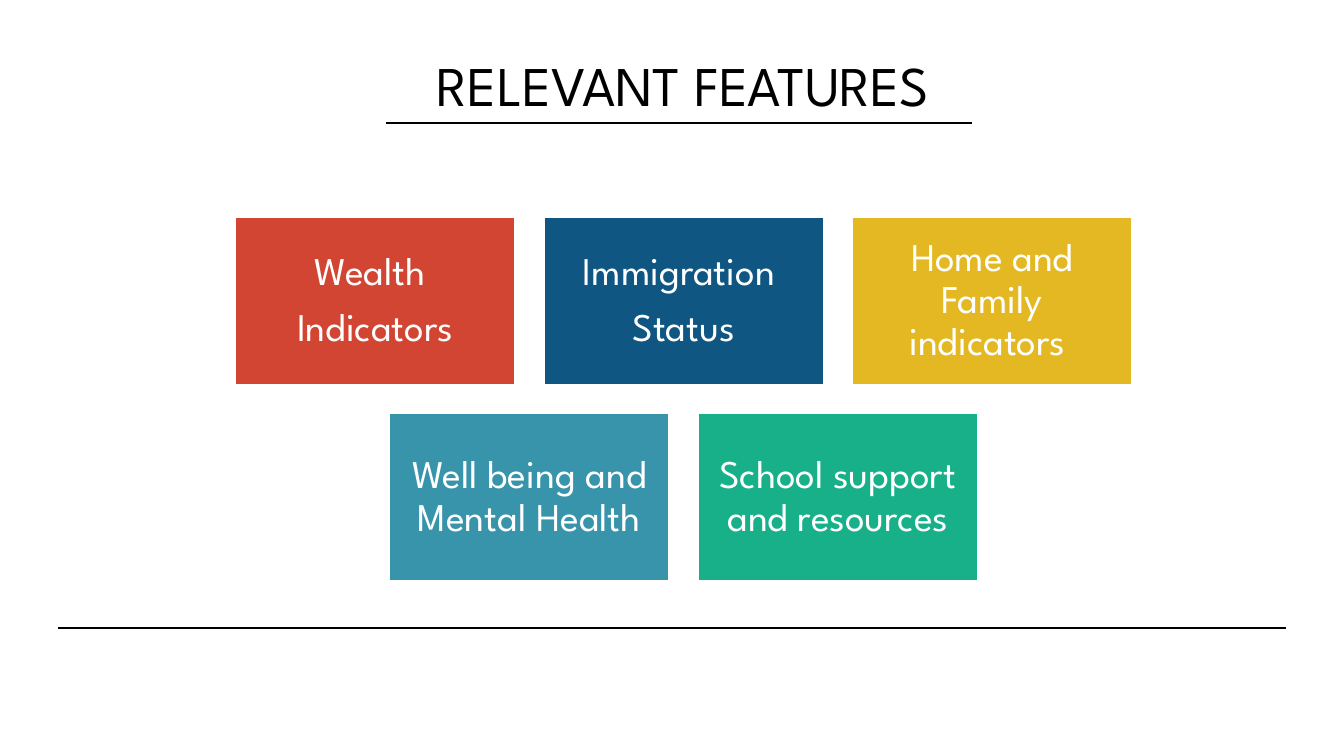
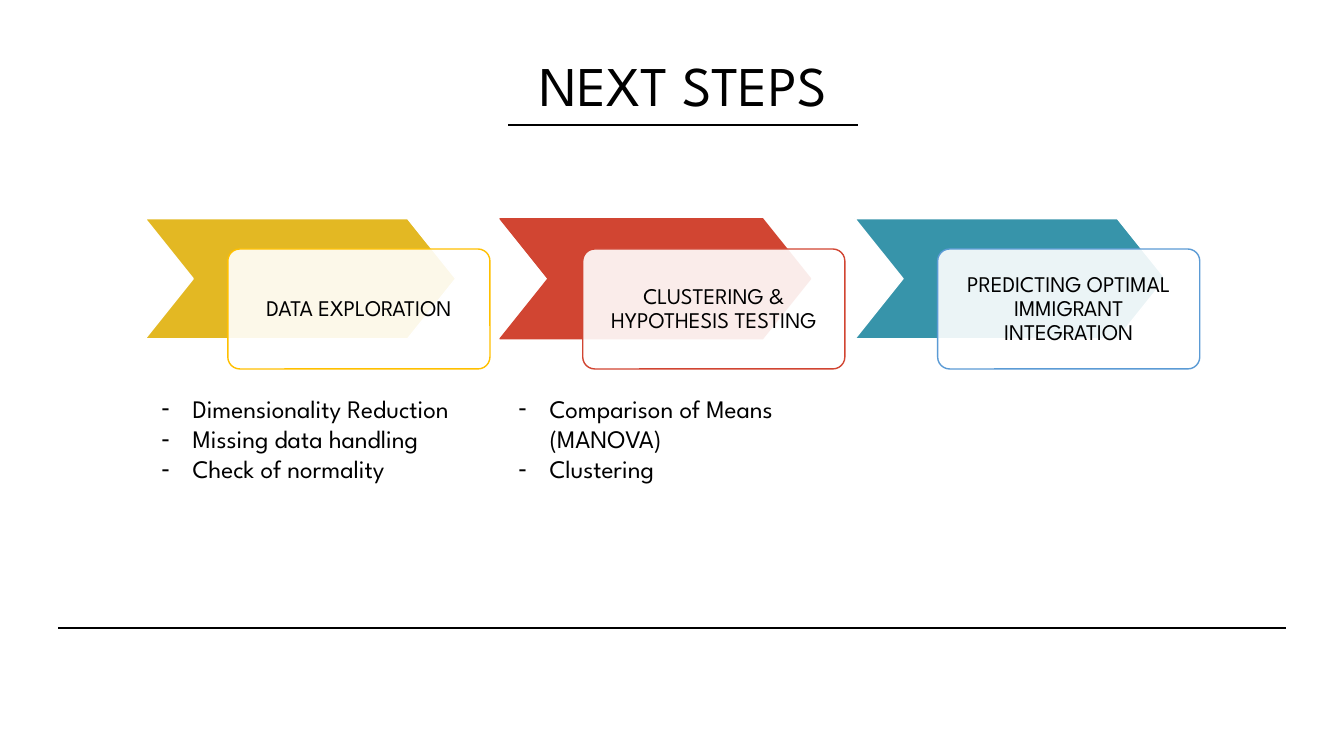
from dataclasses import dataclass
from typing import Any

from lxml.etree import SubElement
from pptx import Presentation
from pptx.dml.color import RGBColor
from pptx.enum.shapes import MSO_CONNECTOR, MSO_SHAPE
from pptx.enum.text import MSO_ANCHOR, MSO_AUTO_SIZE, PP_ALIGN
from pptx.oxml.ns import qn
from pptx.shapes.autoshape import Shape
from pptx.shapes.connector import Connector
from pptx.slide import Slide
from pptx.text.text import TextFrame
from pptx.util import Inches, Pt


@dataclass(frozen=True)
class Theme:
    font: str = "League Spartan"
    black: str = "000000"
    white: str = "FFFFFF"
    red: str = "D14532"
    navy: str = "0F5782"
    yellow: str = "E3B823"
    teal: str = "3794AA"
    green: str = "17B089"
    amber: str = "FFC000"
    blue: str = "5B9BD5"
    title_size: int = 40
    feature_size: int = 28
    list_size: int = 18
    step_size: int = 16
    rule_width: float = 1.5
    step_line: float = 1
    card_opacity: int = 90


THEME = Theme()


@dataclass(frozen=True)
class Box:
    left: float
    top: float
    width: float
    height: float

    def emu(self) -> tuple[int, int, int, int]:
        return (Inches(self.left), Inches(self.top),
                Inches(self.width), Inches(self.height))


@dataclass(frozen=True)
class Feature:
    lines: tuple[str, ...]
    color: str


@dataclass(frozen=True)
class Step:
    label: str
    fill: str
    edge: str
    card_edge: str


@dataclass(frozen=True)
class TaskList:
    box: Box
    tasks: tuple[str, ...]


TITLE_BOX = Box(0.85, 0.45, 11.85, 0.77)

FEATURE_CENTER, FEATURE_TOP, FEATURE_GAP = 6.78, 2.15, 0.28
FEATURE_WIDTH, FEATURE_HEIGHT = 2.78, 1.67
FEATURE_ROWS = (
    (Feature(("Wealth ", "Indicators"), THEME.red),
     Feature(("Immigration ", "Status"), THEME.navy),
     Feature(("Home and Family indicators ",), THEME.yellow)),
    (Feature(("Well being and Mental Health",), THEME.teal),
     Feature(("School support and resources",), THEME.green)),
)

STEP_LEFT, STEP_PITCH = 1.44, 3.52
STEPS = (
    Step("DATA EXPLORATION", THEME.yellow, THEME.white, THEME.amber),
    Step("CLUSTERING & HYPOTHESIS TESTING", THEME.red, THEME.red, THEME.red),
    Step("PREDICTING OPTIMAL IMMIGRANT INTEGRATION",
         THEME.teal, THEME.white, THEME.blue),
)
TASK_LISTS = (
    TaskList(Box(1.5, 3.85, 3.49, 1.31),
             ("Dimensionality Reduction", "Missing data handling",
              "Check of normality")),
    TaskList(Box(5.04, 3.85, 3.09, 1.31),
             ("Comparison of Means (MANOVA)", "Clustering")),
)


def apply(target: Any, values: dict[str, Any]) -> None:
    """Set each named attribute of the target."""
    for name, value in values.items():
        setattr(target, name, value)


def write(frame: TextFrame, lines: tuple[str, ...], size: int, color: str,
          frame_format: dict[str, Any], paragraph_format: dict[str, Any]) -> None:
    """Fill a frame with one formatted paragraph per line."""
    frame.text = "\n".join(lines)
    apply(frame, {"word_wrap": True, "auto_size": MSO_AUTO_SIZE.NONE,
                  **frame_format})
    for paragraph in frame.paragraphs:
        apply(paragraph, paragraph_format)
        for run in paragraph.runs:
            apply(run.font, {"name": THEME.font, "size": Pt(size)})
            run.font.color.rgb = RGBColor.from_string(color)


def write_label(shape: Shape, lines: tuple[str, ...], size: int,
                color: str) -> None:
    margins = dict.fromkeys(
        ("margin_left", "margin_top", "margin_right", "margin_bottom"),
        Inches(0.12))
    write(shape.text_frame, lines, size, color,
          {"vertical_anchor": MSO_ANCHOR.MIDDLE, **margins},
          {"alignment": PP_ALIGN.CENTER, "line_spacing": 0.9,
           "space_after": Pt(size / 3)})


def add_panel(slide: Slide, kind: MSO_SHAPE, box: Box, fill: str, edge: str,
              edge_width: float) -> Shape:
    panel = slide.shapes.add_shape(kind, *box.emu())
    panel.shadow.inherit = False
    panel.fill.solid()
    panel.fill.fore_color.rgb = RGBColor.from_string(fill)
    panel.line.color.rgb = RGBColor.from_string(edge)
    panel.line.width = Pt(edge_width)
    return panel


def set_opacity(shape: Shape, percent: int) -> None:
    color = shape._element.spPr.find(qn("a:solidFill"))[0]
    SubElement(color, qn("a:alpha"), val=str(percent * 1000))


def add_rule(slide: Slide, left: float, right: float, y: float) -> Connector:
    rule = slide.shapes.add_connector(
        MSO_CONNECTOR.STRAIGHT, Inches(left), Inches(y), Inches(right), Inches(y))
    rule.line.color.rgb = RGBColor.from_string(THEME.black)
    rule.line.width = Pt(THEME.rule_width)
    SubElement(rule._element.spPr, qn("a:effectLst"))
    return rule


def place(shape: Any, box: Box) -> None:
    apply(shape, dict(zip(("left", "top", "width", "height"), box.emu())))


def add_title(slide: Slide, text: str, rule_left: float, rule_right: float,
              rule_y: float) -> None:
    title = slide.shapes.title
    place(title, TITLE_BOX)
    write(title.text_frame, (text,), THEME.title_size, THEME.black,
          {"vertical_anchor": MSO_ANCHOR.TOP},
          {"alignment": PP_ALIGN.CENTER})
    add_rule(slide, rule_left, rule_right, rule_y)


def add_feature_rows(slide: Slide) -> None:
    for row_index, row in enumerate(FEATURE_ROWS):
        row_width = len(row) * (FEATURE_WIDTH + FEATURE_GAP) - FEATURE_GAP
        top = FEATURE_TOP + row_index * (FEATURE_HEIGHT + FEATURE_GAP)
        for column, feature in enumerate(row):
            left = (FEATURE_CENTER - row_width / 2
                    + column * (FEATURE_WIDTH + FEATURE_GAP))
            tile = add_panel(slide, MSO_SHAPE.RECTANGLE,
                             Box(left, top, FEATURE_WIDTH, FEATURE_HEIGHT),
                             feature.color, THEME.white, THEME.rule_width)
            write_label(tile, feature.lines, THEME.feature_size, THEME.white)


def add_step(slide: Slide, step: Step, left: float) -> None:
    """Draw a chevron with its label card overlapping it."""
    chevron = add_panel(slide, MSO_SHAPE.CHEVRON, Box(left, 2.17, 3.08, 1.19),
                        step.fill, step.edge, THEME.step_line)
    chevron.adjustments[0] = 0.4
    card = add_panel(slide, MSO_SHAPE.ROUNDED_RECTANGLE,
                     Box(left + 0.82, 2.47, 2.6, 1.19),
                     THEME.white, step.card_edge, THEME.step_line)
    card.adjustments[0] = 0.1
    set_opacity(card, THEME.card_opacity)
    write_label(card, (step.label,), THEME.step_size, THEME.black)


def fill_task_list(body: Any, task_list: TaskList) -> None:
    place(body, task_list.box)
    write(body.text_frame, task_list.tasks, THEME.list_size, THEME.black,
          {"vertical_anchor": MSO_ANCHOR.TOP},
          {"alignment": PP_ALIGN.LEFT, "space_before": Pt(0)})
    for paragraph in body.text_frame.paragraphs:
        properties = paragraph._p.get_or_add_pPr()
        properties.set("marL", str(Inches(0.31)))
        properties.set("indent", str(Inches(-0.31)))
        SubElement(properties, qn("a:buChar"), char="-")


def main() -> None:
    prs = Presentation()
    apply(prs, {"slide_width": Inches(13.33), "slide_height": Inches(7.5)})
    title_only = prs.slide_layouts.get_by_name("Title Only")
    two_content = prs.slide_layouts.get_by_name("Two Content")

    features = prs.slides.add_slide(title_only)
    footer_rule = add_rule(features, 0.58, 12.75, 6.23)
    prs.slide_master.shapes._spTree.append(footer_rule._element)
    add_feature_rows(features)
    add_title(features, "RELEVANT FEATURES", 3.83, 9.64, 1.22)

    next_steps = prs.slides.add_slide(two_content)
    for index, step in enumerate(STEPS):
        add_step(next_steps, step, STEP_LEFT + index * STEP_PITCH)
    add_title(next_steps, "NEXT STEPS", 5.04, 8.51, 1.24)
    bodies = list(next_steps.placeholders)[1:]
    for body, task_list in zip(bodies, TASK_LISTS):
        fill_task_list(body, task_list)

    prs.save("out.pptx")


if __name__ == "__main__":
    main()
